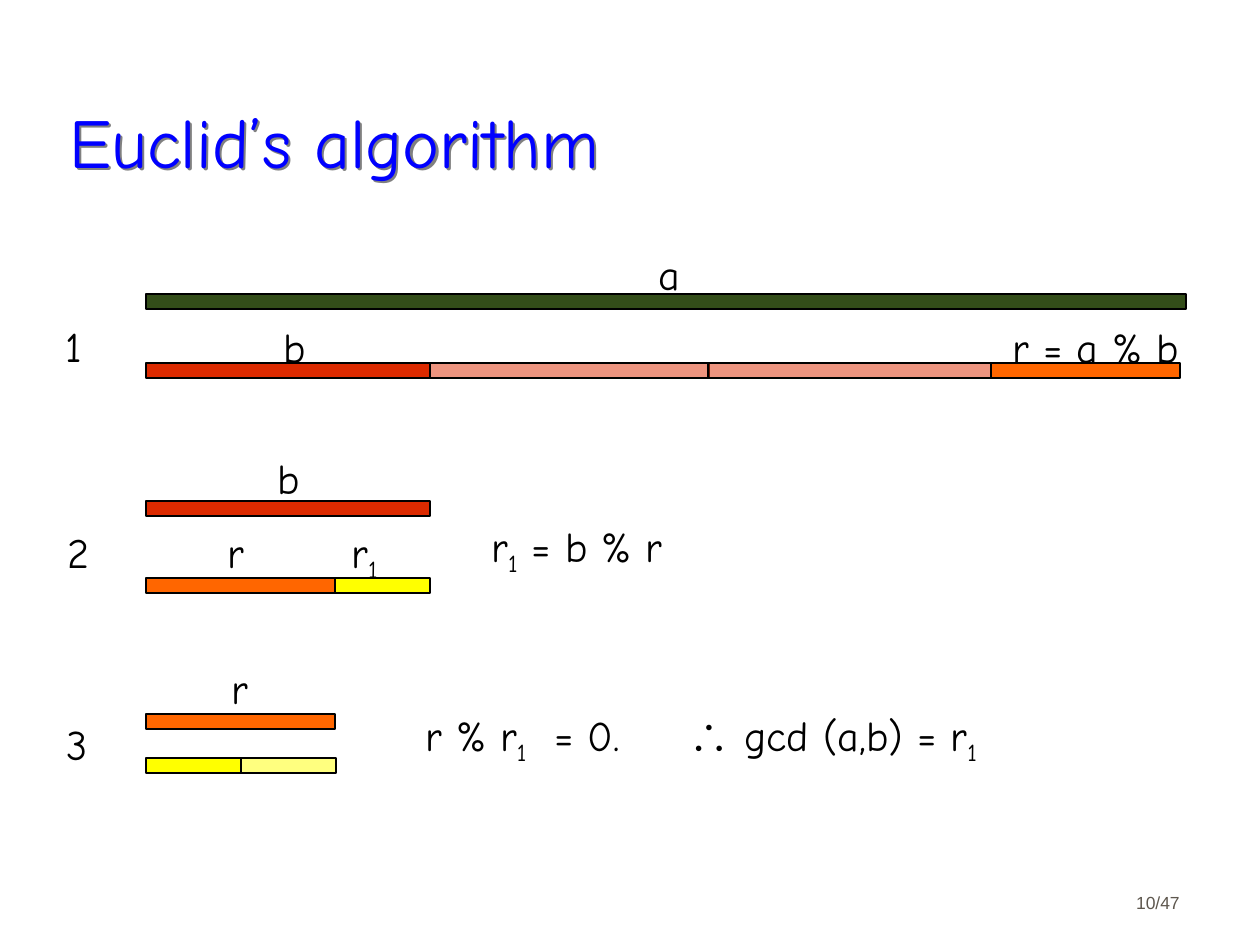
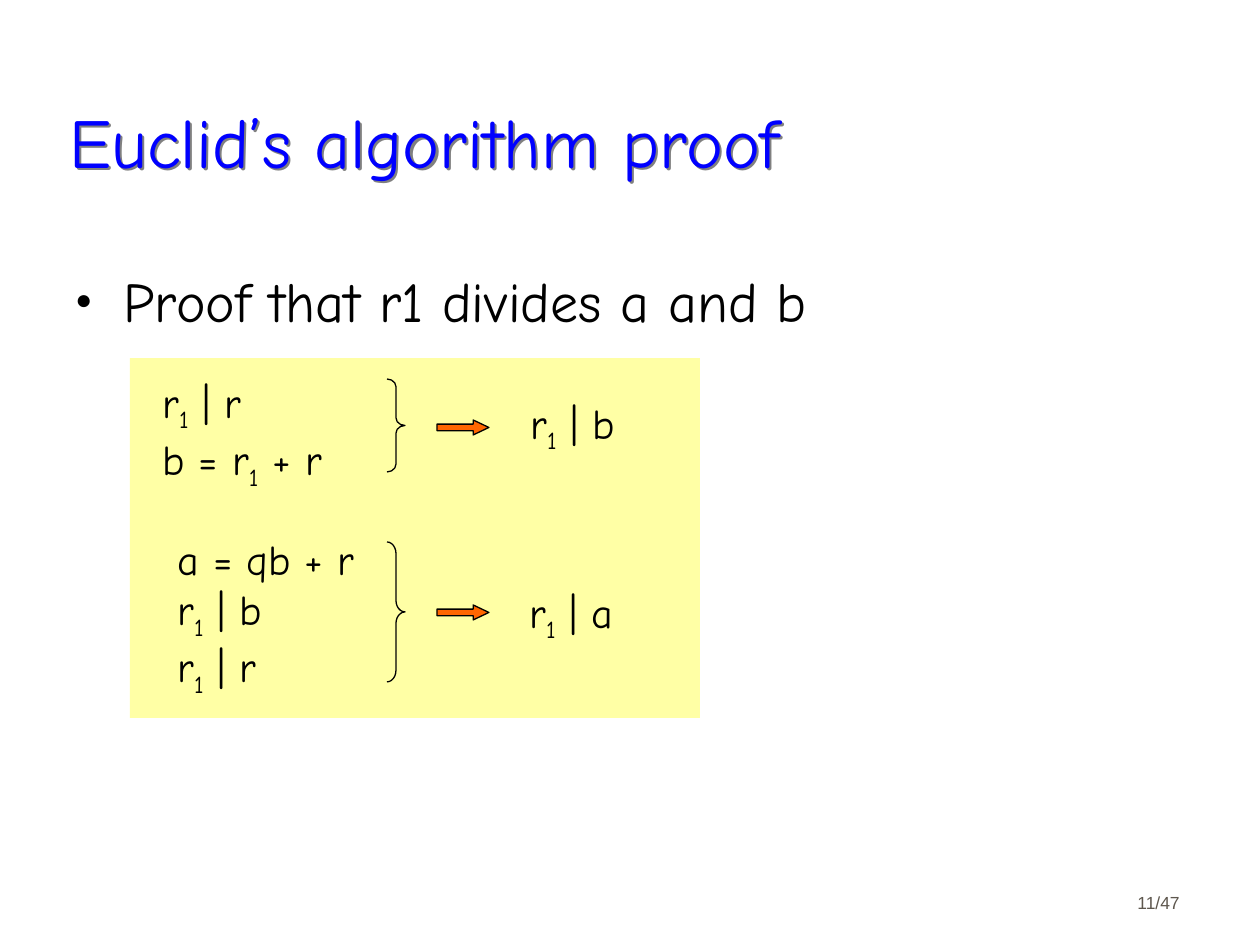
"""Build two slides on Euclid's algorithm and its proof."""
import dataclasses
import itertools

import lxml.etree
import pptx
import pptx.dml.color
import pptx.enum.shapes
import pptx.enum.text
import pptx.oxml.ns
import pptx.util

EMU_PER_PX = 914400 / 126
SHAPES = pptx.enum.shapes.MSO_SHAPE
ALIGN = pptx.enum.text.PP_ALIGN
ANCHOR = pptx.enum.text.MSO_ANCHOR
RUN_KINDS = {"₁": "subscript", "∴": "symbol"}


@dataclasses.dataclass(frozen=True)
class Theme:
    """Colours, fonts and type sizes shared by the slides."""
    title: str = "0000FF"
    title_shadow: str = "808080"
    ink: str = "000000"
    paper: str = "FFFFFF"
    footer: str = "5E574E"
    length_a: str = "334D19"
    length_b: str = "DC2A00"
    length_r: str = "FF6600"
    length_r1: str = "FFFF00"
    panel: str = "FFFFA5"
    hand_font: str = "Comic Neue"
    plain_font: str = "Arial"
    title_size: int = 40
    bullet_size: int = 32
    label_size: int = 24
    footer_size: int = 10
    line_width: float = 0.75


THEME = Theme()
BAR_LEFT, BAR_HEIGHT = 146, 15
A_LENGTH, B_LENGTH, R_LENGTH, R1_LENGTH = 1040, 284, 189, 95


def px(length):
    """Turn px into EMU."""
    return pptx.util.Emu(round(length * EMU_PER_PX))


def rgb(colour):
    """Turn a hex string into a colour."""
    return pptx.dml.color.RGBColor.from_string(colour)


def add_child(parent, tag, **attributes):
    """Append a DrawingML element."""
    return lxml.etree.SubElement(parent, pptx.oxml.ns.qn(tag), attributes)


def add_shadow(box):
    """Give the letters of an unfilled box a drop shadow."""
    effects = add_child(box._element.spPr, "a:effectLst")
    shadow = add_child(effects, "a:outerShdw", blurRad="0", dist=str(px(3)), dir="2700000")
    add_child(shadow, "a:srgbClr", val=THEME.title_shadow)


def add_bullet(paragraph, indent):
    """Give a paragraph a small round bullet and a hanging indent."""
    properties = paragraph._p.get_or_add_pPr()
    properties.set("marL", str(px(indent)))
    properties.set("indent", str(-px(indent)))
    add_child(add_child(properties, "a:buClr"), "a:srgbClr", val=THEME.ink)
    add_child(properties, "a:buSzPct", val="50000")
    add_child(properties, "a:buFont", typeface=THEME.plain_font)
    add_child(properties, "a:buChar", char="●")


def add_tabs(paragraph, stops):
    """Set left tab stops on a paragraph."""
    tab_list = add_child(paragraph._p.get_or_add_pPr(), "a:tabLst")
    for stop in stops:
        add_child(tab_list, "a:tab", pos=str(px(stop)), algn="l")


def write(slide, text, left, top, width, height, *, size=THEME.label_size, colour=THEME.ink,
          font=THEME.hand_font, align=ALIGN.LEFT, anchor=ANCHOR.TOP, wrap=False,
          fill=None, shadow=False, bullet_indent=0, tabs=()):
    """Place text, one paragraph a line, with ₁ as a lowered 1."""
    box = slide.shapes.add_textbox(px(left), px(top), px(width), px(height))
    if fill:
        box.fill.solid()
        box.fill.fore_color.rgb = rgb(fill)
    if shadow:
        add_shadow(box)
    frame = box.text_frame
    frame.word_wrap = wrap
    frame.vertical_anchor = anchor
    for number, line in enumerate(text.split("\n")):
        paragraph = frame.add_paragraph() if number else frame.paragraphs[0]
        paragraph.alignment = align
        if bullet_indent:
            add_bullet(paragraph, bullet_indent)
        if tabs:
            add_tabs(paragraph, tabs)
        for kind, letters in itertools.groupby(line, key=RUN_KINDS.get):
            run = paragraph.add_run()
            run.text = "".join(letters).replace("₁", "1")
            run.font.size = pptx.util.Pt(size)
            run.font.color.rgb = rgb(colour)
            run.font.name = THEME.plain_font if kind == "symbol" else font
            if kind == "subscript":
                run.font._element.set("baseline", "-25000")


def draw(slide, preset, left, top, width, height, *, fill=None, opacity=100,
         outlined=True, adjustments=()):
    """Draw a preset shape with an optional fill and thin outline."""
    figure = slide.shapes.add_shape(preset, px(left), px(top), px(width), px(height))
    figure.shadow.inherit = False
    for position, value in enumerate(adjustments):
        figure.adjustments[position] = value
    if fill:
        figure.fill.solid()
        figure.fill.fore_color.rgb = rgb(fill)
        if opacity < 100:
            solid = figure.fill._xPr.find(pptx.oxml.ns.qn("a:solidFill"))
            add_child(solid[0], "a:alpha", val=str(opacity * 1000))
    else:
        figure.fill.background()
    if outlined:
        figure.line.color.rgb = rgb(THEME.ink)
        figure.line.width = pptx.util.Pt(THEME.line_width)
    else:
        figure.line.fill.background()


def draw_bar(slide, left, top, length, colour, opacity=100):
    """Draw a bar that stands for a number."""
    draw(slide, SHAPES.RECTANGLE, left, top, length, BAR_HEIGHT, fill=colour, opacity=opacity)


def draw_implication(slide, brace_top, brace_height, arrow_top):
    """Draw a brace around premises and the arrow to their conclusion."""
    brace_width = 18
    draw(slide, SHAPES.RIGHT_BRACE, 387, brace_top, brace_width, brace_height,
         adjustments=(brace_height / brace_width / 12, 0.5))
    draw(slide, SHAPES.RIGHT_ARROW, 437, arrow_top, 52, 15, fill=THEME.length_r,
         adjustments=(0.44, 1.05))


def start_slide(deck, title, number):
    """Add a blank slide with its title and page number."""
    slide = deck.slides.add_slide(deck.slide_layouts[6])
    write(slide, f"{number}/47", 861, 856, 331, 63, size=THEME.footer_size,
          colour=THEME.footer, font=THEME.plain_font, align=ALIGN.RIGHT,
          anchor=ANCHOR.BOTTOM, wrap=True)
    write(slide, title, 57, 32, 1071, 157, size=THEME.title_size, colour=THEME.title,
          anchor=ANCHOR.BOTTOM, wrap=True, shadow=True)
    return slide


def build_algorithm(deck):
    """Show the three division steps as bars."""
    slide = start_slide(deck, "Euclid’s algorithm", 10)
    labels = [
        ("a", 646, 242, 47), ("b", 271, 315, 48), ("r = a % b", 1000, 315, 192),
        ("b", 265, 446, 48), ("r", 215, 520, 42), ("r₁", 339, 520, 52),
        ("r₁ = b % r", 479, 514, 197), ("r", 219, 656, 42),
    ]
    for text, left, top, width in labels:
        write(slide, text, left, top, width, 71 if "₁" in text else 63, fill=THEME.paper)
    write(slide, "r % r₁\t= 0.\t∴ gcd (a,b) = r₁", 413, 703, 640, 71,
          fill=THEME.paper, wrap=True, tabs=(129, 263))
    for step, left, top, width in [("1", 53, 314, 42), ("2", 55, 520, 47), ("3", 54, 712, 47)]:
        write(slide, step, left, top, width, 63)

    draw_bar(slide, BAR_LEFT, 294, A_LENGTH, THEME.length_a)
    for repeat_left in (425, 708):
        draw_bar(slide, repeat_left, 363, B_LENGTH, THEME.length_b, opacity=50)
    draw_bar(slide, 991, 363, R_LENGTH, THEME.length_r)
    for top in (363, 501):
        draw_bar(slide, BAR_LEFT, top, B_LENGTH, THEME.length_b)
    for top in (578, 714):
        draw_bar(slide, BAR_LEFT, top, R_LENGTH, THEME.length_r)
    draw_bar(slide, BAR_LEFT + R_LENGTH, 578, R1_LENGTH, THEME.length_r1)
    for index, opacity in enumerate((100, 50)):
        draw_bar(slide, BAR_LEFT + index * R1_LENGTH, 758, R1_LENGTH, THEME.length_r1, opacity)


def build_proof(deck):
    """Show the premises and conclusions of the proof."""
    slide = start_slide(deck, "Euclid’s algorithm proof", 11)
    write(slide, "Proof that r1 divides a and b", 63, 260, 1126, 575,
          size=THEME.bullet_size, wrap=True, bullet_indent=48)
    draw(slide, SHAPES.RECTANGLE, 130, 358, 570, 360, fill=THEME.panel, outlined=False)
    write(slide, "r₁ | r\nb = r₁ + r", 150, 370, 215, 127, wrap=True)
    write(slide, "r₁ | b", 518, 391, 130, 71, wrap=True)
    draw_implication(slide, 379, 93, 420)
    write(slide, "a = qb + r\nr₁ | b\nr₁ | r", 165, 527, 215, 178, wrap=True)
    write(slide, "r₁ | a", 517, 580, 130, 71, wrap=True)
    draw_implication(slide, 542, 140, 605)


def main():
    """Build and save the deck."""
    deck = pptx.Presentation()
    deck.slide_width, deck.slide_height = px(1260), px(945)
    build_algorithm(deck)
    build_proof(deck)
    deck.save("out.pptx")


if __name__ == "__main__":
    main()
